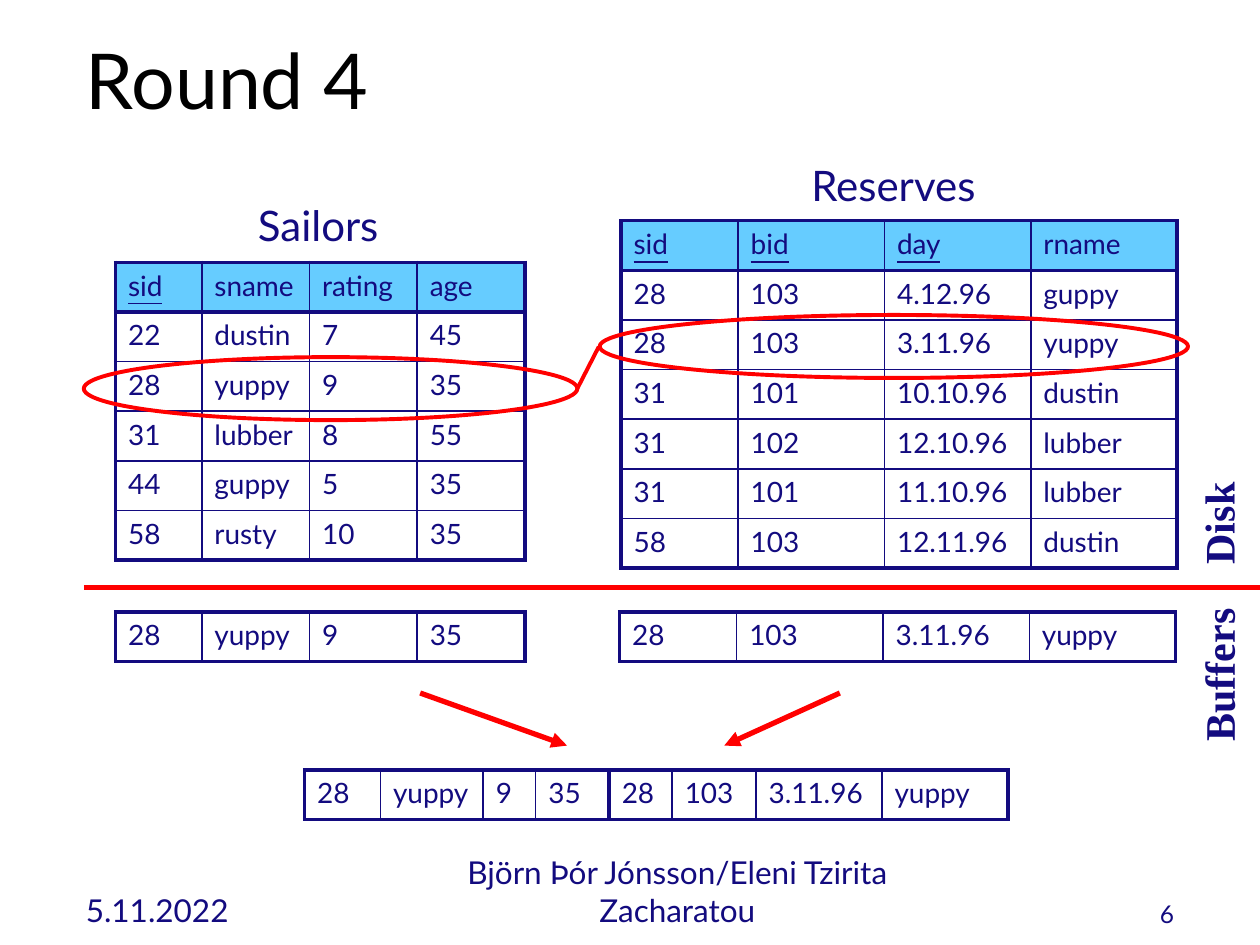
from lxml import etree
from pptx import Presentation
from pptx import util as u
from pptx.dml import color
from pptx.enum import shapes, text
from pptx.oxml import ns

NAVY, RED, SKY, WHITE, BLACK = "130B7F", "FF0000", "66CCFF", "FFFFFF", "000000"
THIN, THICK = 1, 2.25
LEFT, CENTER, RIGHT = text.PP_ALIGN.LEFT, text.PP_ALIGN.CENTER, text.PP_ALIGN.RIGHT
TOP, MIDDLE, BOTTOM = text.MSO_ANCHOR.TOP, text.MSO_ANCHOR.MIDDLE, text.MSO_ANCHOR.BOTTOM
ROW_HEIGHT = 1
SAILORS_COLUMNS = [1.74, 2.17, 2.17, 2.17]
RESERVES_COLUMNS = [2.36, 2.95, 2.95, 2.95]
SAILOR = ["28", "yuppy", "9", "35"]
RESERVATION = ["28", "103", "3.11.96", "yuppy"]
SAILORS = [
    ["sid", "sname", "rating", "age"],
    ["22", "dustin", "7", "45"],
    SAILOR,
    ["31", "lubber", "8", "55"],
    ["44", "guppy", "5", "35"],
    ["58", "rusty", "10", "35"],
]
RESERVES = [
    ["sid", "bid", "day", "rname"],
    ["28", "103", "4.12.96", "guppy"],
    RESERVATION,
    ["31", "101", "10.10.96", "dustin"],
    ["31", "102", "12.10.96", "lubber"],
    ["31", "101", "11.10.96", "lubber"],
    ["58", "103", "12.11.96", "dustin"],
]


def rgb(value):
    """Return the colour for a hex string."""
    return color.RGBColor.from_string(value)


def lengths(*values):
    """Return centimetre values as lengths."""
    return [u.Cm(value) for value in values]


def format_runs(paragraph, size, hex_color=NAVY, font="Lato", bold=False, underline=False):
    """Set the font of every run in a paragraph."""
    for run in paragraph.runs:
        run.font.size = u.Pt(size)
        run.font.name = font
        run.font.bold = bold
        run.font.underline = underline
        run.font.color.rgb = rgb(hex_color)


def add_text(slide, words, box, size, align=LEFT, anchor=TOP, hex_color=NAVY):
    """Add a wrapping text box and return it."""
    shape = slide.shapes.add_textbox(*lengths(*box))
    frame = shape.text_frame
    frame.text = words
    frame.word_wrap = True
    frame.vertical_anchor = anchor
    frame.paragraphs[0].alignment = align
    format_runs(frame.paragraphs[0], size, hex_color)
    return shape


def add_side_label(slide, words, box, align):
    """Add a bold label that reads upwards."""
    shape = add_text(slide, words, box, 24, align)
    shape.rotation = 270
    shape.text_frame.word_wrap = False
    format_runs(shape.text_frame.paragraphs[0], 24, font="Times New Roman", bold=True)


def set_border(cell, side, width):
    """Draw one side (L, R, T or B) of a table cell."""
    properties = cell._tc.get_or_add_tcPr()
    line = etree.SubElement(properties, ns.qn(f"a:ln{side}"), w=str(u.Pt(width)))
    fill = etree.SubElement(line, ns.qn("a:solidFill"))
    etree.SubElement(fill, ns.qn("a:srgbClr"), val=NAVY)


def add_relation(slide, rows, left, top, columns, header=False, keys=0):
    """Add a table with a thick frame, an optional header and underlined keys."""
    size = lengths(left, top, sum(columns), ROW_HEIGHT * len(rows))
    table = slide.shapes.add_table(len(rows), len(columns), *size).table
    table.first_row = header
    table.horz_banding = False
    for column, width in zip(table.columns, columns):
        column.width = u.Cm(width)
    thick_rows = {0, len(rows)} | ({1} if header else set())
    thick_columns = {0, len(columns)}
    for i, row in enumerate(rows):
        table.rows[i].height = u.Cm(ROW_HEIGHT)
        for j, words in enumerate(row):
            cell = table.cell(i, j)
            cell.text = words
            is_header = header and i == 0
            format_runs(cell.text_frame.paragraphs[0], 16, underline=is_header and j < keys)
            edges = [("L", j, thick_columns), ("R", j + 1, thick_columns),
                     ("T", i, thick_rows), ("B", i + 1, thick_rows)]
            for side, index, thick in edges:
                set_border(cell, side, THICK if index in thick else THIN)
            cell.fill.solid()
            cell.fill.fore_color.rgb = rgb(SKY if is_header else WHITE)


def add_ring(slide, box):
    """Add a red ellipse without fill."""
    shape = slide.shapes.add_shape(shapes.MSO_SHAPE.OVAL, *lengths(*box))
    shape.shadow.inherit = False
    shape.fill.background()
    shape.line.color.rgb = rgb(RED)
    shape.line.width = u.Pt(THICK)


def add_line(slide, start, end, width, arrow=False):
    """Add a straight red line, with an arrowhead at its end if asked."""
    points = lengths(*start, *end)
    connector = slide.shapes.add_connector(shapes.MSO_CONNECTOR.STRAIGHT, *points)
    connector.line.color.rgb = rgb(RED)
    connector.line.width = u.Pt(width)
    if arrow:
        etree.SubElement(connector.line._get_or_add_ln(), ns.qn("a:tailEnd"), type="triangle")
    etree.SubElement(connector._element.spPr, ns.qn("a:effectLst"))


def main():
    """Build the slide and save it."""
    presentation = Presentation()
    presentation.slide_width, presentation.slide_height = lengths(25.4, 19.05)
    slide = presentation.slides.add_slide(presentation.slide_layouts[6])

    add_text(slide, "Round 4", (1.48, 0, 16.93, 3.18), 44, anchor=MIDDLE, hex_color=BLACK)
    add_text(slide, "Sailors", (2.29, 3.89, 8.25, 1.27), 24, CENTER)
    add_text(slide, "Reserves", (12.32, 3.1, 11.38, 1.27), 24, CENTER)

    add_relation(slide, SAILORS, 2.33, 5.29, SAILORS_COLUMNS, header=True, keys=1)
    add_relation(slide, RESERVES, 12.52, 4.45, RESERVES_COLUMNS, header=True, keys=3)
    add_ring(slide, (1.69, 7.2, 9.95, 1.27))
    add_ring(slide, (12.09, 6.35, 11.86, 1.27))
    add_line(slide, (11.64, 7.83), (12.07, 6.99), THICK)

    add_line(slide, (1.69, 11.85), (25.4, 11.85), 3)
    add_side_label(slide, "Disk", (23.47, 9.91, 2.16, 1.27), LEFT)
    add_side_label(slide, "Buffers", (22.96, 12.98, 3.2, 1.27), RIGHT)

    add_relation(slide, [SAILOR], 2.33, 12.34, SAILORS_COLUMNS)
    add_relation(slide, [RESERVATION], 12.49, 12.34, RESERVES_COLUMNS)
    add_line(slide, (8.47, 13.97), (11.43, 15.03), 3, arrow=True)
    add_line(slide, (16.93, 13.97), (14.6, 15.03), 3, arrow=True)
    add_relation(slide, [SAILOR], 6.14, 15.52, [1.53, 2.07, 1.06, 1.48])
    add_relation(slide, [RESERVATION], 12.28, 15.52, [1.27, 1.69, 2.54, 2.54])

    add_text(slide, "5.11.2022", (1.48, 17.57, 5.29, 1.27), 18, anchor=BOTTOM)
    add_text(slide, "Björn Þór Jónsson/Eleni Tzirita Zacharatou",
             (8.68, 17.57, 9.95, 1.27), 18, CENTER, BOTTOM)
    add_text(slide, "6", (18.63, 17.57, 5.29, 1.27), 14, RIGHT, BOTTOM)
    presentation.save("out.pptx")


if __name__ == "__main__":
    main()
